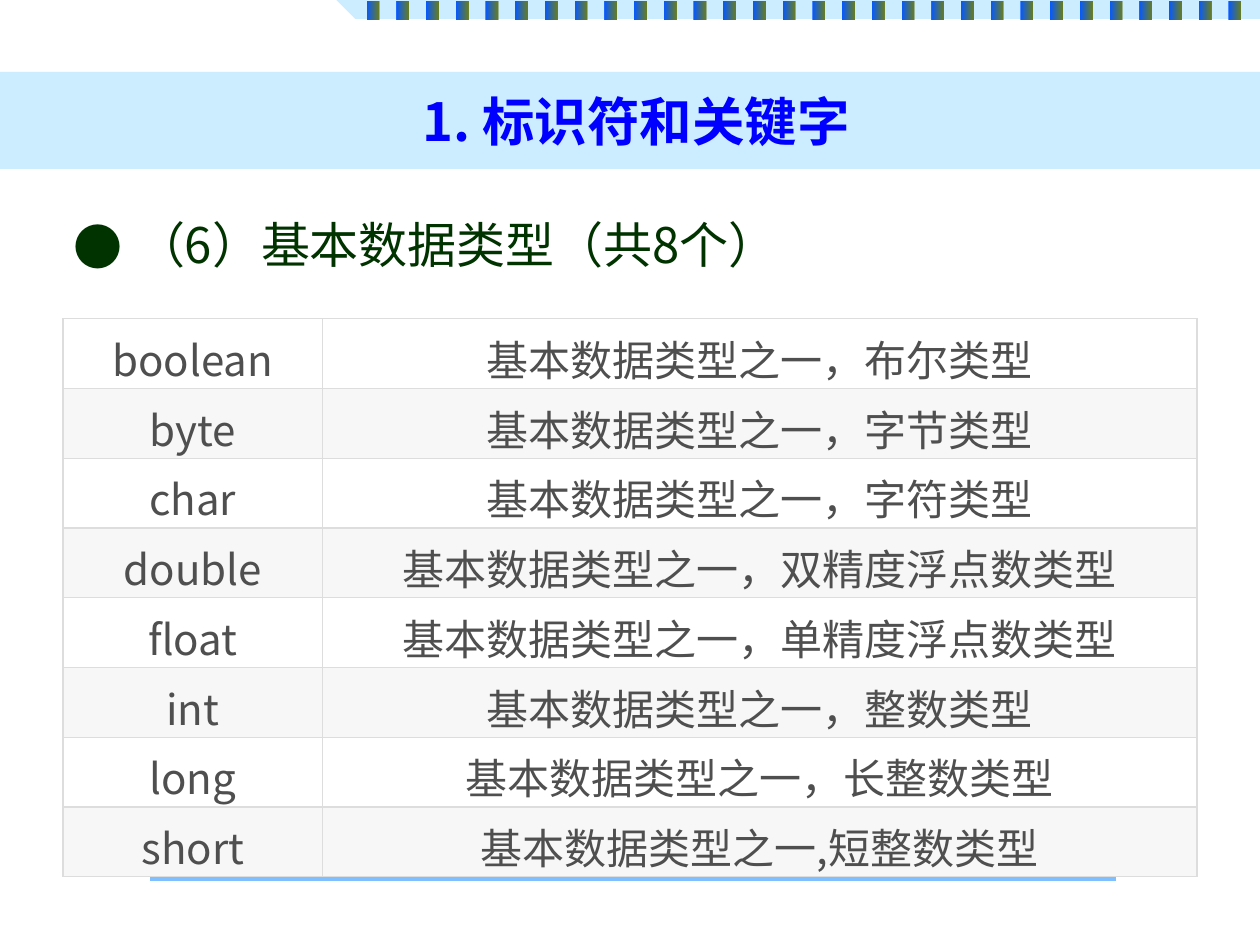
"""Build a slide listing the eight basic data types in a table."""
import pptx
import pptx.dml.color
import pptx.enum.shapes
import pptx.enum.text
import pptx.oxml.ns
import pptx.util
from lxml import etree

Inches = pptx.util.Inches
Pt = pptx.util.Pt
RGBColor = pptx.dml.color.RGBColor
qn = pptx.oxml.ns.qn
ALIGN = pptx.enum.text.PP_ALIGN
MIDDLE = pptx.enum.text.MSO_ANCHOR.MIDDLE
RECTANGLE = pptx.enum.shapes.MSO_SHAPE.RECTANGLE

TITLE = " 1. 标识符和关键字"
HEADING = "（6）基本数据类型（共8个）"
TYPES = [
    ("boolean", "基本数据类型之一，布尔类型"),
    ("byte", "基本数据类型之一，字节类型"),
    ("char", "基本数据类型之一，字符类型"),
    ("double", "基本数据类型之一，双精度浮点数类型"),
    ("float", "基本数据类型之一，单精度浮点数类型"),
    ("int", "基本数据类型之一，整数类型"),
    ("long", "基本数据类型之一，长整数类型"),
    ("short", "基本数据类型之一,短整数类型"),
]

FONT = "Noto Sans CJK SC"
PALE_BLUE = RGBColor(0xCC, 0xEC, 0xFF)
TITLE_BLUE = RGBColor(0x00, 0x00, 0xFF)
DARK_GREEN = RGBColor(0x00, 0x33, 0x00)
TEXT_GRAY = RGBColor(0x4F, 0x4F, 0x4F)
BORDER_GRAY = RGBColor(0xDD, 0xDD, 0xDD)
ROW_FILLS = [RGBColor(0xFF, 0xFF, 0xFF), RGBColor(0xF7, 0xF7, 0xF7)]
RULE_BLUE = RGBColor(0x80, 0xBF, 0xFF)
BAR_COLORS = [RGBColor(0x05, 0x58, 0xFF), RGBColor(0x66, 0x7C, 0x22)]

BAR_COUNT = 30
BAR_LEFT, BAR_LAST = 2.91, 9.75
COLUMN_WIDTHS = [2.06, 6.94]
ROW_HEIGHT = 0.55


def place(shape, left, top, width, height):
    shape.left, shape.top = Inches(left), Inches(top)
    shape.width, shape.height = Inches(width), Inches(height)


def write(text_frame, text, size, color, align, bold=False):
    text_frame.text = text
    paragraph = text_frame.paragraphs[0]
    paragraph.alignment = align
    paragraph.space_before = Pt(0)
    font = paragraph.runs[0].font
    font.size, font.bold, font.name = Pt(size), bold, FONT
    font.color.rgb = color
    etree.SubElement(paragraph.runs[0]._r.rPr, qn("a:ea"), typeface=FONT)
    return paragraph


def add_top_strip(slide):
    builder = slide.shapes.build_freeform(Inches(2.67), 0)
    corners = [(2.82, 0.15), (10, 0.15), (10, 0)]
    builder.add_line_segments([(Inches(x), Inches(y)) for x, y in corners])
    strip = builder.convert_to_shape()
    strip.shadow.inherit = False
    strip.fill.solid()
    strip.fill.fore_color.rgb = PALE_BLUE
    strip.line.fill.background()
    step = (BAR_LAST - BAR_LEFT) / (BAR_COUNT - 1)
    for index in range(BAR_COUNT):
        left = Inches(BAR_LEFT + index * step)
        bar = slide.shapes.add_shape(RECTANGLE, left, Inches(0.01), Inches(0.1), Inches(0.15))
        bar.shadow.inherit = False
        bar.line.fill.background()
        bar.fill.gradient()
        bar.fill.gradient_angle = 0
        for stop, color in zip(bar.fill.gradient_stops, BAR_COLORS):
            stop.color.rgb = color


def add_bottom_rule(slide):
    straight = pptx.enum.shapes.MSO_CONNECTOR.STRAIGHT
    rule = slide.shapes.add_connector(straight, Inches(1.19), Inches(6.96), Inches(8.86), Inches(6.96))
    rule.line.color.rgb = RULE_BLUE
    rule.line.width = Pt(5)
    etree.SubElement(rule._element.spPr, qn("a:effectLst"))


def fill_title(title):
    place(title, 0, 0.57, 10, 0.77)
    title.fill.solid()
    title.fill.fore_color.rgb = PALE_BLUE
    title.text_frame.vertical_anchor = MIDDLE
    write(title.text_frame, TITLE, 30, TITLE_BLUE, ALIGN.CENTER, bold=True)


def fill_heading(body):
    place(body, 0.48, 1.65, 9.19, 0.57)
    body.text_frame.vertical_anchor = MIDDLE
    body.text_frame.auto_size = pptx.enum.text.MSO_AUTO_SIZE.NONE
    paragraph = write(body.text_frame, HEADING, 28, DARK_GREEN, ALIGN.LEFT)
    properties = paragraph._p.get_or_add_pPr()
    properties.set("marL", str(Inches(0.5)))
    properties.set("indent", str(Inches(-0.5)))
    etree.SubElement(properties, qn("a:buFont"), typeface=FONT)
    etree.SubElement(properties, qn("a:buChar"), char="●")


def set_borders(cell):
    properties = cell._tc.get_or_add_tcPr()
    for side in ("lnL", "lnR", "lnT", "lnB"):
        line = etree.SubElement(properties, qn("a:" + side), w=str(Pt(0.75)))
        fill = etree.SubElement(line, qn("a:solidFill"))
        etree.SubElement(fill, qn("a:srgbClr"), val=str(BORDER_GRAY))


def add_type_table(slide):
    table = slide.shapes.add_table(
        len(TYPES), len(COLUMN_WIDTHS), Inches(0.5), Inches(2.53),
        Inches(sum(COLUMN_WIDTHS)), Inches(ROW_HEIGHT * len(TYPES))).table
    for column, width in zip(table.columns, COLUMN_WIDTHS):
        column.width = Inches(width)
    for row_index, row in enumerate(TYPES):
        for column_index, text in enumerate(row):
            cell = table.cell(row_index, column_index)
            set_borders(cell)
            cell.fill.solid()
            cell.fill.fore_color.rgb = ROW_FILLS[row_index % 2]
            cell.vertical_anchor = MIDDLE
            cell.margin_left = cell.margin_right = cell.margin_top = Inches(0.07)
            cell.margin_bottom = 0
            write(cell.text_frame, text, 24, TEXT_GRAY, ALIGN.CENTER)


def main():
    presentation = pptx.Presentation()
    presentation.slide_width, presentation.slide_height = Inches(10), Inches(7.5)
    slide = presentation.slides.add_slide(presentation.slide_layouts[1])
    fill_title(slide.shapes.title)
    fill_heading(slide.placeholders[1])
    add_top_strip(slide)
    add_bottom_rule(slide)
    add_type_table(slide)
    presentation.save("out.pptx")


if __name__ == "__main__":
    main()
